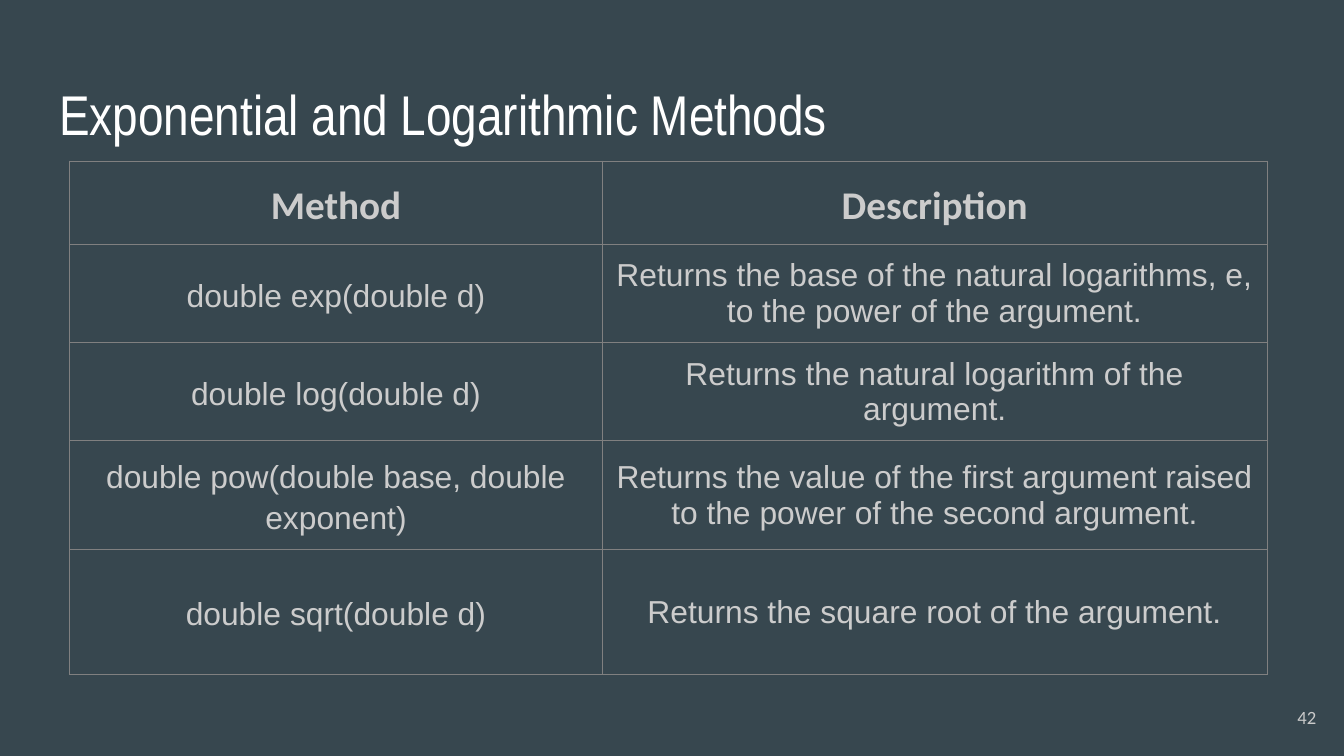
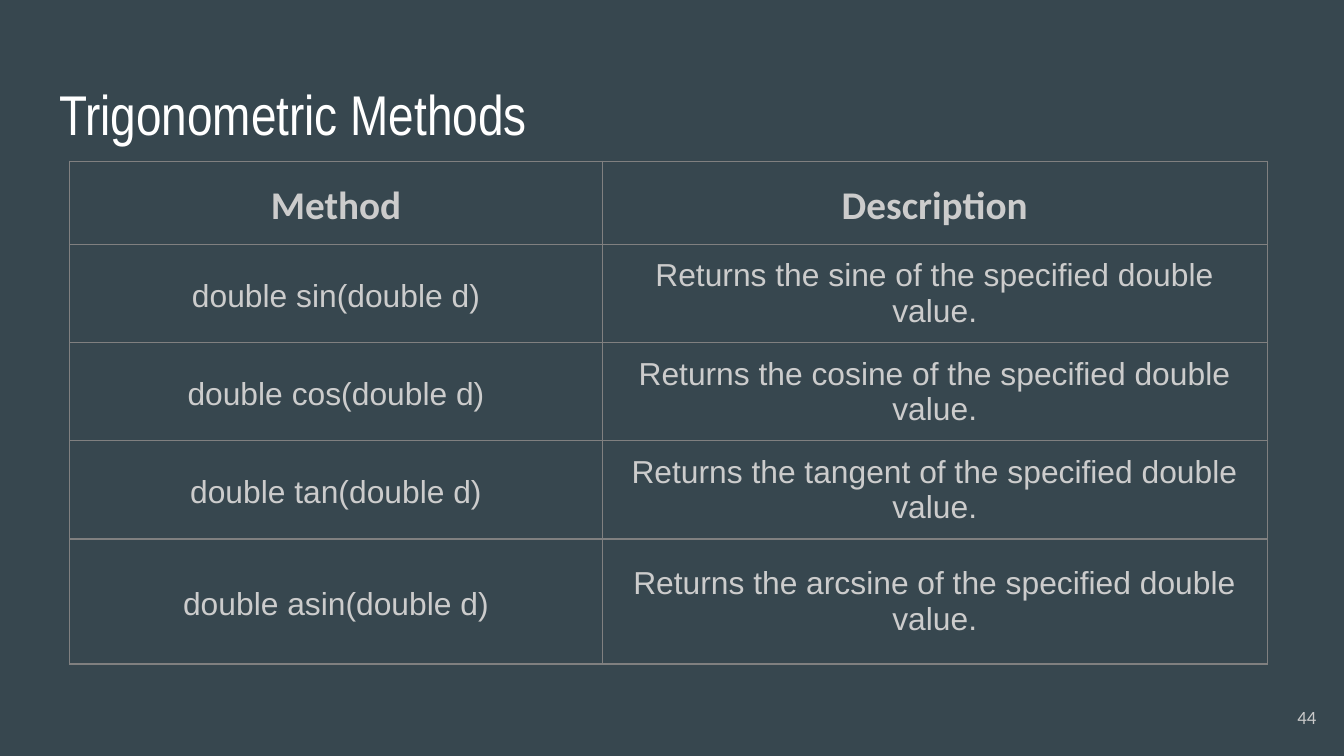
"""Build two slides that list Java math methods in tables."""
from pptx import Presentation
from pptx.dml.color import RGBColor
from pptx.enum.text import MSO_ANCHOR as Anchor, MSO_AUTO_SIZE as AutoSize, PP_ALIGN as Align
from pptx.oxml import parse_xml
from pptx.oxml.ns import nsdecls
from pptx.util import Pt

HEADINGS = ("Method", "Description")
SLIDES = [
    {
        "title": "Exponential and Logarithmic Methods",
        "number": "42",
        "methods": [
            ("double exp(double d)",
             "Returns the base of the natural logarithms, e, to the power of the argument."),
            ("double log(double d)", "Returns the natural logarithm of the argument."),
            ("double pow(double base, double exponent)",
             "Returns the value of the first argument raised to the power of the second argument."),
            ("double sqrt(double d)", "Returns the square root of the argument."),
        ],
    },
    {
        "title": "Trigonometric Methods",
        "number": "44",
        "methods": [
            (f"double {name}(double d)", f"Returns the {meaning} of the specified double value.")
            for name, meaning in [("sin", "sine"), ("cos", "cosine"),
                                  ("tan", "tangent"), ("asin", "arcsine")]
        ],
    },
]

BACKGROUND = RGBColor(0x37, 0x47, 0x4F)
WHITE = RGBColor(0xFF, 0xFF, 0xFF)
TABLE_TEXT = RGBColor(0xCC, 0xCC, 0xCC)
NUMBER_TEXT = RGBColor(0xCA, 0xCA, 0xCA)
BORDER = RGBColor(0x80, 0x80, 0x80)

SLIDE_WIDTH, SLIDE_HEIGHT = 720, 405
TITLE_BOX = (24.5, 35.3, 671, 45.4)
NUMBER_BOX = (669, 368.6, 43.2, 31)
TABLE_LEFT, TABLE_TOP = 37.4, 86.4
COLUMN_WIDTHS = (285.3, 356.2)
ROW_HEIGHTS = (44.6, 45.4, 45.4, 49.7, 67)
INSET = 7.2
BORDER_WIDTH = 0.75


def set_insets(target):
    target.margin_left = target.margin_right = Pt(INSET)
    target.margin_top = target.margin_bottom = Pt(INSET)


def write(frame, text, font_name, size, color, align, bold=False):
    frame.text = text
    paragraph = frame.paragraphs[0]
    paragraph.alignment = align
    font = paragraph.font
    font.name, font.size, font.bold = font_name, Pt(size), bold
    font.color.rgb = color
    return paragraph


def place_text(shape, box, anchor, *style):
    shape.left, shape.top, shape.width, shape.height = map(Pt, box)
    frame = shape.text_frame
    set_insets(frame)
    frame.word_wrap = True
    frame.auto_size = AutoSize.NONE
    frame.vertical_anchor = anchor
    write(frame, *style)


def set_borders(cell):
    properties = cell._tc.get_or_add_tcPr()
    for position, side in enumerate(("lnL", "lnR", "lnT", "lnB")):
        properties.insert(position, parse_xml(
            f'<a:{side} {nsdecls("a")} w="{Pt(BORDER_WIDTH)}"><a:solidFill>'
            f'<a:srgbClr val="{BORDER}"/></a:solidFill></a:{side}>'))


def add_method_table(slide, methods):
    rows = [HEADINGS, *methods]
    frame = slide.shapes.add_table(
        len(rows), len(HEADINGS), Pt(TABLE_LEFT), Pt(TABLE_TOP),
        Pt(sum(COLUMN_WIDTHS)), Pt(sum(ROW_HEIGHTS)))
    table = frame.table
    table.first_row = table.horz_banding = False
    for column, width in zip(table.columns, COLUMN_WIDTHS):
        column.width = Pt(width)
    for row, height in zip(table.rows, ROW_HEIGHTS):
        row.height = Pt(height)
    for row_index, texts in enumerate(rows):
        is_heading = row_index == 0
        font_name, size = ("Calibri", 21) if is_heading else ("Arial", 17)
        for column_index, text in enumerate(texts):
            cell = table.cell(row_index, column_index)
            cell.fill.background()
            cell.vertical_anchor = Anchor.MIDDLE
            set_insets(cell)
            set_borders(cell)
            paragraph = write(cell.text_frame, text, font_name, size,
                              TABLE_TEXT, Align.CENTER, is_heading)
            if is_heading or column_index == 0:
                paragraph.line_spacing = 1.15


def add_method_slide(presentation, content):
    slide = presentation.slides.add_slide(presentation.slide_layouts[5])
    place_text(slide.shapes.title, TITLE_BOX, Anchor.TOP,
               content["title"], "Arial Narrow", 30, WHITE, Align.LEFT)
    number = slide.shapes.add_textbox(*map(Pt, NUMBER_BOX))
    place_text(number, NUMBER_BOX, Anchor.MIDDLE,
               content["number"], "Calibri", 10, NUMBER_TEXT, Align.RIGHT)
    add_method_table(slide, content["methods"])


def main():
    presentation = Presentation()
    presentation.slide_width = Pt(SLIDE_WIDTH)
    presentation.slide_height = Pt(SLIDE_HEIGHT)
    fill = presentation.slide_master.background.fill
    fill.solid()
    fill.fore_color.rgb = BACKGROUND
    for content in SLIDES:
        add_method_slide(presentation, content)
    presentation.save("out.pptx")


if __name__ == "__main__":
    main()
